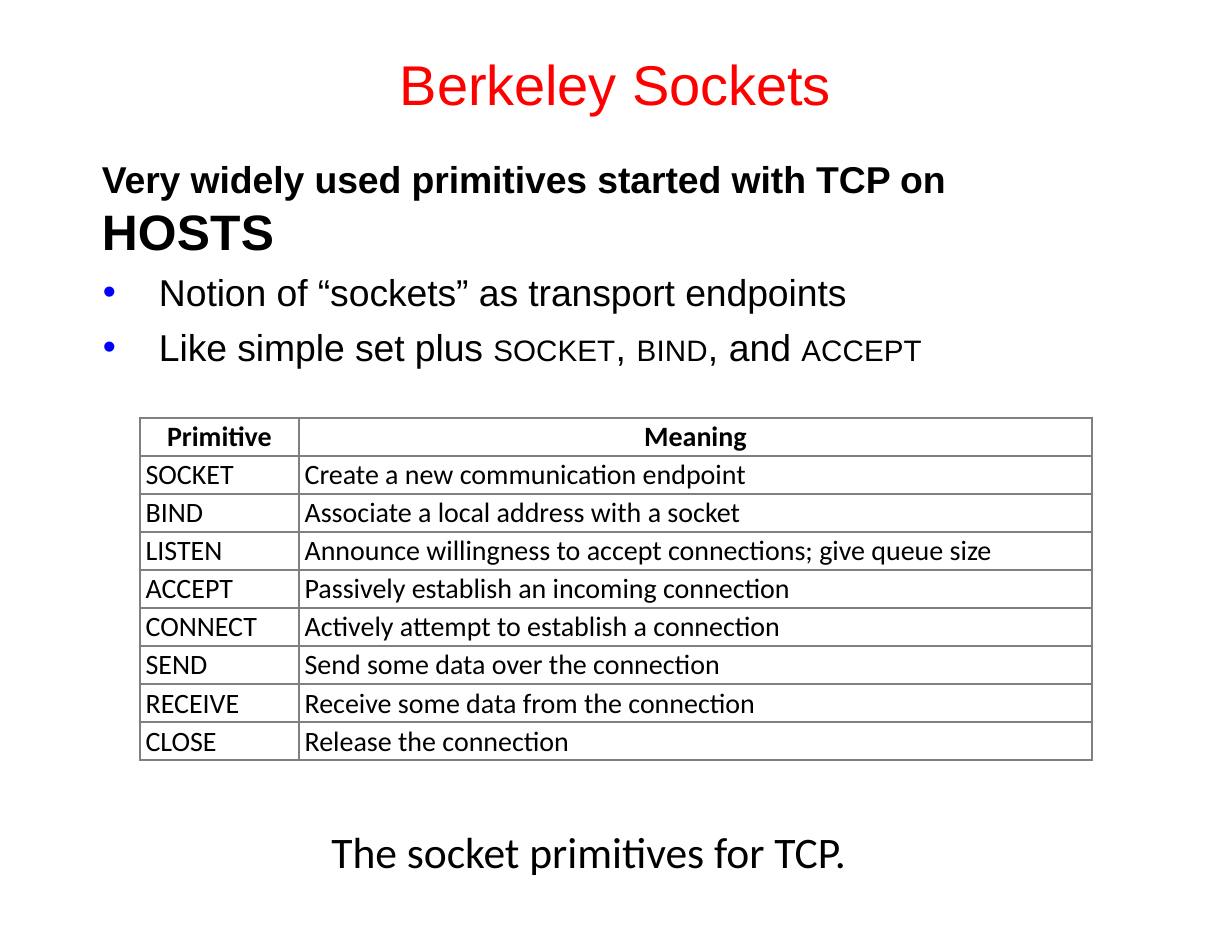
from lxml import etree
from pptx import Presentation
from pptx.dml.color import RGBColor
from pptx.enum import text
from pptx.oxml import ns
from pptx.util import Inches, Pt

RED = RGBColor(255, 0, 0)
BLUE = RGBColor(0, 0, 255)
BLACK = RGBColor(0, 0, 0)
GREY = RGBColor(128, 128, 128)
LEFT, MID = text.PP_ALIGN.LEFT, text.PP_ALIGN.CENTER

# A run is (wording, size, letter spacing in hundredths of a point)
TITLE = [("Berkeley Sockets", 36, -5)]
LEAD = [("Very widely used primitives started with TCP on ", 24, -5), ("HOSTS", 32, 10)]
POINTS = [
    [("Notion of “sockets” as transport endpoints", 24, -5)],
    [("Like simple set plus ", 24, -5), ("SOCKET", 19, 10), (", ", 24, 10),
     ("BIND", 19, 10), (", ", 24, 10), ("and ", 24, -5), ("ACCEPT", 19, 10)],
]
ROWS = [
    ("Primitive", "Meaning"),
    ("SOCKET", "Create a new communication endpoint"),
    ("BIND", "Associate a local address with a socket"),
    ("LISTEN", "Announce willingness to accept connections; give queue size"),
    ("ACCEPT", "Passively establish an incoming connection"),
    ("CONNECT", "Actively attempt to establish a connection"),
    ("SEND", "Send some data over the connection"),
    ("RECEIVE", "Receive some data from the connection"),
    ("CLOSE", "Release the connection"),
]
CAPTION = [("The socket primitives for TCP.", 28, 0)]

COLS, ROW = (1.42, 7.08), 0.34
BOXES = {"title": (3.56, 0.43, 3.95, 0.63), "body": (0.9, 1.29, 8.6, 1.95),
         "table": (1.25, 3.73, sum(COLS), ROW * len(ROWS)),
         "caption": (1.02, 7.32, 8.47, 0.57)}


def place(name):
    return [Inches(n) for n in BOXES[name]]


def add_box(slide, name, pads):
    frame = slide.shapes.add_textbox(*place(name)).text_frame
    frame.word_wrap = True
    for side, pad in zip(("left", "top", "right", "bottom"), pads):
        setattr(frame, "margin_" + side, Inches(pad))
    return frame


def write(para, runs, face="Arial", hue=BLACK, bold=False, align=LEFT):
    para.alignment = align
    for words, size, gap in runs:
        run = para.add_run()
        run.text = words
        for key, val in {"name": face, "size": Pt(size), "bold": bold}.items():
            setattr(run.font, key, val)
        run.font.color.rgb = hue
        if gap:
            run.font._element.set("spc", str(gap))


def add_tag(parent, tag, **attrs):
    return etree.SubElement(parent, ns.qn(tag), attrs)


def add_bullet(para):
    para.space_before = Pt(6)
    props = para._p.get_or_add_pPr()
    props.set("marL", str(Inches(0.51)))
    props.set("indent", str(Inches(-0.5)))
    add_tag(add_tag(props, "a:buClr"), "a:srgbClr", val=str(BLUE))
    add_tag(props, "a:buFont", typeface="Arial")
    add_tag(props, "a:buChar", char="•")


def add_edges(cell):
    props = cell._tc.get_or_add_tcPr()
    for side in "LRTB":
        line = add_tag(props, "a:ln" + side, w=str(Pt(1.5)))
        add_tag(add_tag(line, "a:solidFill"), "a:srgbClr", val=str(GREY))


def add_grid(slide):
    frame = slide.shapes.add_table(len(ROWS), len(COLS), *place("table"))
    table = frame.table
    table.first_row = table.horz_banding = False
    for col, wide in zip(table.columns, COLS):
        col.width = Inches(wide)
    look = {"margin_left": Inches(0.05), "margin_right": Inches(0.05),
            "margin_top": Inches(0.02), "margin_bottom": Inches(0.02),
            "vertical_anchor": text.MSO_ANCHOR.MIDDLE}
    for r, row in enumerate(ROWS):
        table.rows[r].height = Inches(ROW)
        head = r == 0
        for c, words in enumerate(row):
            cell = table.cell(r, c)
            for key, val in look.items():
                setattr(cell, key, val)
            add_edges(cell)
            cell.fill.background()
            write(cell.text_frame.paragraphs[0], [(words, 18, 0)], "Calibri",
                  bold=head, align=MID if head else LEFT)


def main():
    deck = Presentation()
    deck.slide_width, deck.slide_height = Inches(11), Inches(8.5)
    slide = deck.slides.add_slide(deck.slide_layouts[6])

    title = add_box(slide, "title", (0.01, 0.01, 0, 0))
    write(title.paragraphs[0], TITLE, hue=RED)

    body = add_box(slide, "body", (0.01, 0.1, 0, 0))
    write(body.paragraphs[0], LEAD, bold=True)
    for runs in POINTS:
        para = body.add_paragraph()
        add_bullet(para)
        write(para, runs)

    add_grid(slide)
    caption = add_box(slide, "caption", (0.1, 0.05, 0.1, 0.05))
    write(caption.paragraphs[0], CAPTION, "Calibri", align=MID)
    deck.save("out.pptx")


if __name__ == "__main__":
    main()
